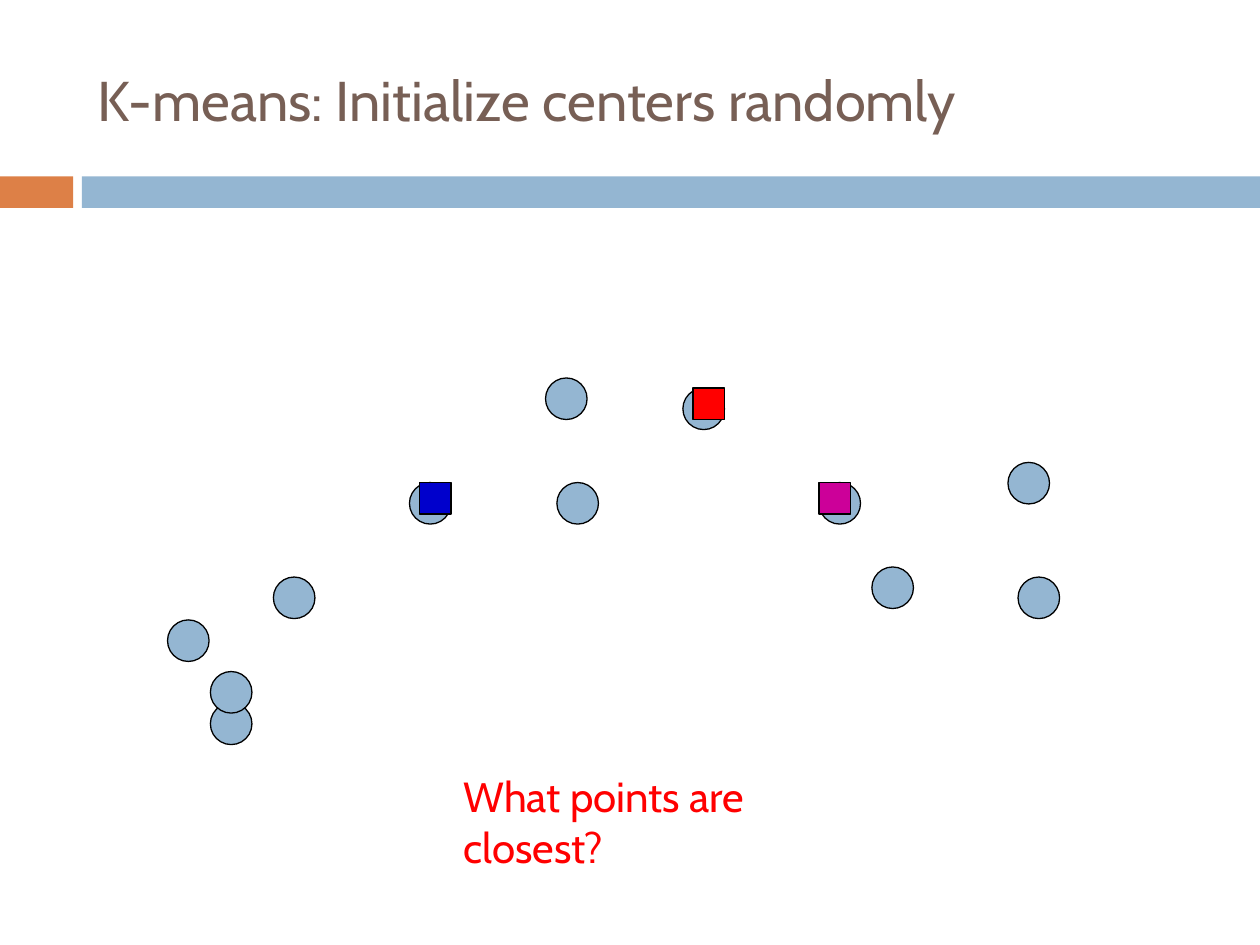
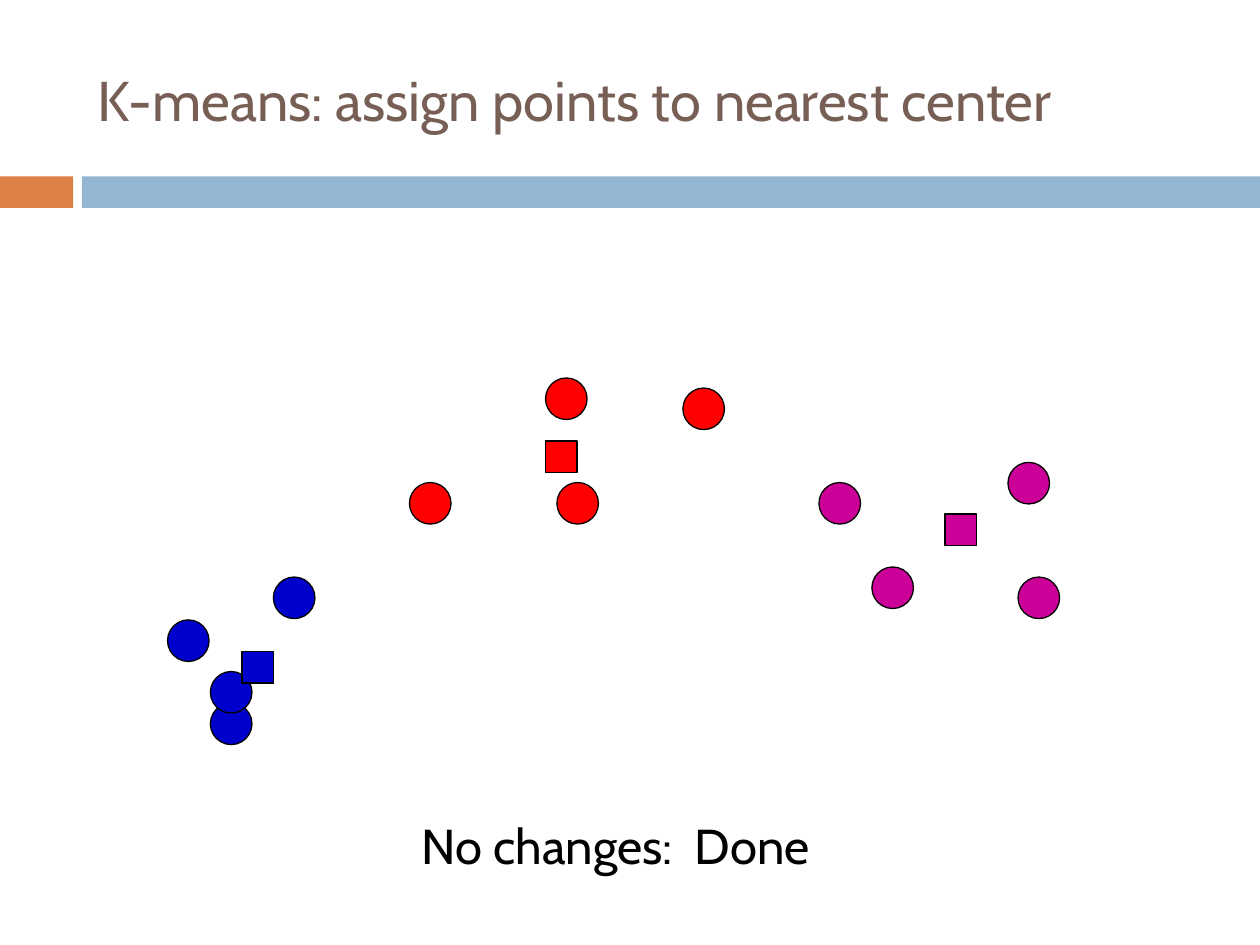
from pptx import Presentation
from pptx.dml.color import RGBColor
from pptx.enum.shapes import MSO_SHAPE
from pptx.enum.text import MSO_ANCHOR, PP_ALIGN
from pptx.util import Inches, Pt

RECT, OVAL = MSO_SHAPE.RECTANGLE, MSO_SHAPE.OVAL
LEFT = PP_ALIGN.LEFT
TOP, MIDDLE = MSO_ANCHOR.TOP, MSO_ANCHOR.MIDDLE

FONT = "Cabin"
BROWN, ORANGE, SKY = "775F55", "DD8047", "94B6D2"
BLACK, BLUE, RED, PINK = "000000", "0000CC", "FF0000", "CC0099"
DOT, MARK = 0.33, 0.25  # sizes of data points and cluster centers

# Data points, grouped by the cluster they end up in
GROUPS = {
    BLUE: [(1.67, 5.58), (1.33, 4.92), (2.17, 4.58), (1.67, 5.33)],
    RED: [(4.33, 3), (5.42, 3.08), (4.42, 3.83), (3.25, 3.83)],
    PINK: [(8, 3.67), (8.08, 4.58), (6.5, 3.83), (6.92, 4.5)],
}
START = {BLUE: (3.33, 3.83), RED: (5.5, 3.08), PINK: (6.5, 3.83)}
FINAL = {BLUE: (1.92, 5.17), RED: (4.33, 3.5), PINK: (7.5, 4.08)}


def color(code):
    return RGBColor.from_string(code)


def place(shape, x, y, w, h):
    shape.left, shape.top = Inches(x), Inches(y)
    shape.width, shape.height = Inches(w), Inches(h)


def write(shape, text, size=24, tint=BLACK, anchor=TOP):
    frame = shape.text_frame
    frame.word_wrap = True
    frame.vertical_anchor = anchor
    para = frame.paragraphs[0]
    para.alignment = LEFT
    run = para.add_run()
    run.text = text
    run.font.name, run.font.size = FONT, Pt(size)
    run.font.color.rgb = color(tint)


def draw(slide, kind, x, y, w, h, fill, line=None):
    shape = slide.shapes.add_shape(
        kind, Inches(x), Inches(y), Inches(w), Inches(h))
    shape.shadow.inherit = False
    shape.fill.solid()
    shape.fill.fore_color.rgb = color(fill)
    if line:
        shape.line.color.rgb = color(line)
        shape.line.width = Pt(0.75)
    else:
        shape.line.fill.background()


def note(slide, text, x, y, w, h, **style):
    box = slide.shapes.add_textbox(
        Inches(x), Inches(y), Inches(w), Inches(h))
    write(box, text, **style)


def begin(deck, title):
    """Add a slide with the shared bands and title."""
    slide = deck.slides.add_slide(deck.slide_layouts[5])
    draw(slide, RECT, 0, 1.4, 0.58, 0.25, ORANGE)
    draw(slide, RECT, 0.65, 1.4, 9.35, 0.25, SKY)
    place(slide.shapes.title, 0.67, 0.25, 8.92, 1.08)
    write(slide.shapes.title, title, size=32, tint=BROWN, anchor=MIDDLE)
    return slide


def plot(slide, centers, fill=None):
    """Draw points in one fill, or in cluster colors, then the centers."""
    for tint, points in GROUPS.items():
        for x, y in points:
            draw(slide, OVAL, x, y, DOT, DOT, fill or tint, BLACK)
    for tint, (x, y) in centers.items():
        draw(slide, RECT, x, y, MARK, MARK, tint, BLACK)


def main():
    deck = Presentation()
    deck.slide_width, deck.slide_height = Inches(10), Inches(7.5)

    first = begin(deck, "K-means: Initialize centers randomly")
    plot(first, START, fill=SKY)
    note(first, "What points are closest?", 3.58, 6.07, 3.47, 0.5, tint=RED)

    last = begin(deck, "K-means: assign points to nearest center")
    plot(last, FINAL)
    note(last, "No changes:  Done", 3.25, 6.42, 5.58, 0.57, size=28)

    deck.save("out.pptx")


if __name__ == "__main__":
    main()
